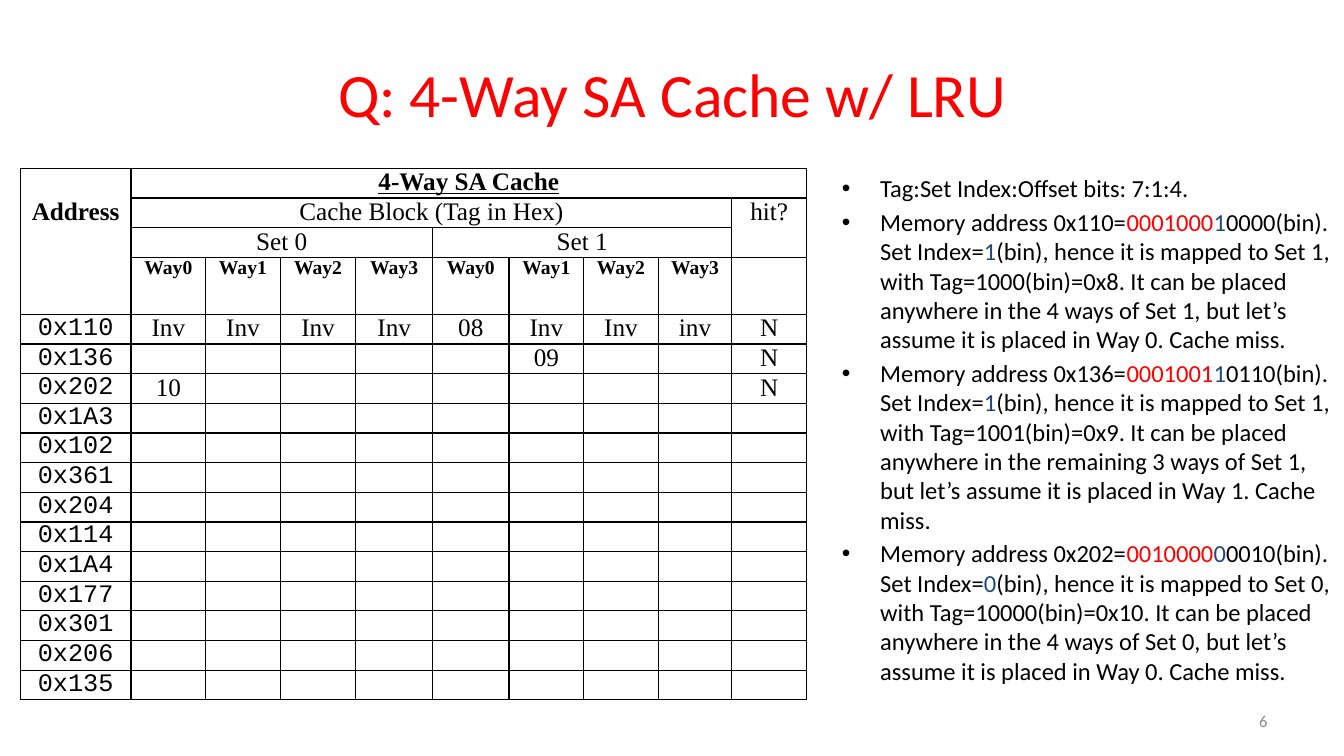
import pptx
import pptx.dml.color
import pptx.enum.text
import pptx.oxml
import pptx.oxml.ns
import pptx.util
from lxml import etree
from pptx.util import Inches

COLORS = {
    "black": "000000",
    "red": "FF0000",
    "blue": "1F497D",
    "gray": "8C8C8C",
}
SANS, SERIF, MONO = "Calibri", "Times New Roman", "Courier New"
CENTER = pptx.enum.text.PP_ALIGN.CENTER
RIGHT = pptx.enum.text.PP_ALIGN.RIGHT
MIDDLE = pptx.enum.text.MSO_ANCHOR.MIDDLE
TOP = pptx.enum.text.MSO_ANCHOR.TOP

# Table content
COLUMN_WIDTHS = [1.1, 0.74, 0.74, 0.75, 0.76, 0.76, 0.74, 0.74, 0.73, 0.74]
HEADER_ROWS = 4
WAY_ROW_HEIGHT = 0.55
ADDRESSES = ["0x110", "0x136", "0x202", "0x1A3", "0x102", "0x361", "0x204",
             "0x114", "0x1A4", "0x177", "0x301", "0x206", "0x135"]
CACHE_STATES = {
    "0x110": ["Inv", "Inv", "Inv", "Inv", "08", "Inv", "Inv", "inv", "N"],
    "0x136": ["", "", "", "", "", "09", "", "", "N"],
    "0x202": ["10", "", "", "", "", "", "", "", "N"],
}
# First row, first column, last row, last column
MERGES = [(0, 0, 3, 0), (0, 1, 0, 9), (1, 1, 1, 8), (1, 9, 2, 9),
          (2, 1, 2, 4), (2, 5, 2, 8)]

# Address, tag bits, set index, offset bits, tag, hex tag, free ways, chosen way
LOOKUPS = [
    ("0x110", "0001000", "1", "0000", "1000", "0x8", "4 ways", 0),
    ("0x136", "0001001", "1", "0110", "1001", "0x9", "remaining 3 ways", 1),
    ("0x202", "0010000", "0", "0010", "10000", "0x10", "4 ways", 0),
]


def add_run(paragraph, text, size, font=SANS, color="black", bold=False, underline=False):
    run = paragraph.add_run()
    run.text = text
    run.font.size = pptx.util.Pt(size)
    run.font.name = font
    run.font.bold = bold
    run.font.underline = underline
    run.font.color.rgb = pptx.dml.color.RGBColor.from_string(COLORS[color])


def place(shape, left, top, width, height):
    shape.left, shape.top = Inches(left), Inches(top)
    shape.width, shape.height = Inches(width), Inches(height)


def add_borders(cell):
    properties = cell._tc.get_or_add_tcPr()
    for side in ("lnL", "lnR", "lnT", "lnB"):
        properties.append(pptx.oxml.parse_xml(
            f'<a:{side} {pptx.oxml.ns.nsdecls("a")} w="12700"><a:solidFill>'
            f'<a:srgbClr val="{COLORS["black"]}"/></a:solidFill></a:{side}>'))


def style_cell(cell):
    add_borders(cell)
    cell.fill.background()
    cell.margin_left = cell.margin_right = Inches(0.11)
    cell.margin_top = cell.margin_bottom = 0
    cell.vertical_anchor = TOP
    # Small end mark so that empty cells do not stretch their row
    mark = etree.SubElement(cell.text_frame.paragraphs[0]._p,
                            pptx.oxml.ns.qn("a:endParaRPr"))
    mark.set("sz", "1200")


def write_cell(cell, text, size=18, **style):
    paragraph = cell.text_frame.paragraphs[0]
    paragraph.alignment = CENTER
    add_run(paragraph, text, size, **style)


def add_cache_table(slide):
    row_count = HEADER_ROWS + len(ADDRESSES)
    frame = slide.shapes.add_table(row_count, len(COLUMN_WIDTHS), Inches(0.2),
                                   Inches(1.67), Inches(7.8), Inches(5.26))
    table = frame.table
    table.first_row = table.horz_banding = False
    for column, width in zip(table.columns, COLUMN_WIDTHS):
        column.width = Inches(width)
    for row in table.rows:
        row.height = Inches((5.26 - WAY_ROW_HEIGHT) / (row_count - 1))
    table.rows[HEADER_ROWS - 1].height = Inches(WAY_ROW_HEIGHT)
    for cell in table.iter_cells():
        style_cell(cell)
    for top, left, bottom, right in MERGES:
        table.cell(top, left).merge(table.cell(bottom, right))

    # Header
    table.cell(0, 0).margin_top = Inches(0.29)
    write_cell(table.cell(0, 0), "Address", font=SERIF, bold=True)
    write_cell(table.cell(0, 1), "4-Way SA Cache", font=SERIF, bold=True, underline=True)
    write_cell(table.cell(1, 1), "Cache Block (Tag in Hex)", font=SERIF)
    write_cell(table.cell(1, 9), "hit?", font=SERIF)
    for set_index in range(2):
        first = 1 + 4 * set_index
        write_cell(table.cell(2, first), f"Set {set_index}", font=SERIF)
        for way in range(4):
            write_cell(table.cell(3, first + way), f"Way{way}", 14, font=SERIF, bold=True)

    # Memory accesses
    for row, address in enumerate(ADDRESSES, HEADER_ROWS):
        write_cell(table.cell(row, 0), address, font=MONO)
        for column, state in enumerate(CACHE_STATES.get(address, []), 1):
            if state:
                write_cell(table.cell(row, column), state, font=SERIF)


def add_title(slide, text):
    title = slide.shapes.title
    place(title, 0.67, 0.3, 12, 1.25)
    title.text_frame.vertical_anchor = MIDDLE
    paragraph = title.text_frame.paragraphs[0]
    paragraph.alignment = CENTER
    add_run(paragraph, text, 44, color="red")


def add_bullet(text_frame, index, runs):
    paragraph = text_frame.add_paragraph() if index else text_frame.paragraphs[0]
    properties = paragraph._p.get_or_add_pPr()
    properties.set("marL", str(Inches(0.38)))
    properties.set("indent", str(Inches(-0.38)))
    font = etree.SubElement(properties, pptx.oxml.ns.qn("a:buFont"))
    font.set("typeface", "Arial")
    etree.SubElement(properties, pptx.oxml.ns.qn("a:buChar")).set("char", "•")
    paragraph.space_before = pptx.util.Pt(3 if index else 0)
    for text, color in runs:
        add_run(paragraph, text, 17.5, color=color)


def lookup_runs(address, tag_bits, set_index, offset, tag, hex_tag, ways, way):
    return [
        (f"Memory address {address}=", "black"),
        (tag_bits, "red"),
        (set_index, "blue"),
        (f"{offset}(bin). Set Index=", "black"),
        (set_index, "blue"),
        (f"(bin), hence it is mapped to Set {set_index}, with Tag={tag}(bin)={hex_tag}. "
         f"It can be placed anywhere in the {ways} of Set {set_index}, "
         f"but let’s assume it is placed in Way {way}. Cache miss.", "black"),
    ]


def add_explanation(slide):
    body = slide.placeholders[1]
    place(body, 8.25, 1.67, 5.08, 5.69)
    text_frame = body.text_frame
    text_frame.auto_size = pptx.enum.text.MSO_AUTO_SIZE.NONE
    text_frame.word_wrap = True
    text_frame.margin_right = Inches(0.05)
    bullets = [[("Tag:Set Index:Offset bits: 7:1:4.", "black")]]
    bullets += [lookup_runs(*lookup) for lookup in LOOKUPS]
    for index, runs in enumerate(bullets):
        add_bullet(text_frame, index, runs)


def add_slide_number(slide, number):
    box = slide.shapes.add_textbox(Inches(9.56), Inches(6.95), Inches(3.11), Inches(0.4))
    box.text_frame.word_wrap = True
    box.text_frame.vertical_anchor = MIDDLE
    paragraph = box.text_frame.paragraphs[0]
    paragraph.alignment = RIGHT
    add_run(paragraph, number, 12, color="gray")


def main():
    presentation = pptx.Presentation()
    presentation.slide_width, presentation.slide_height = Inches(13.33), Inches(7.5)
    slide = presentation.slides.add_slide(presentation.slide_layouts[1])
    add_title(slide, "Q: 4-Way SA Cache w/ LRU")
    add_cache_table(slide)
    add_slide_number(slide, "6")
    add_explanation(slide)
    presentation.save("out.pptx")


if __name__ == "__main__":
    main()
